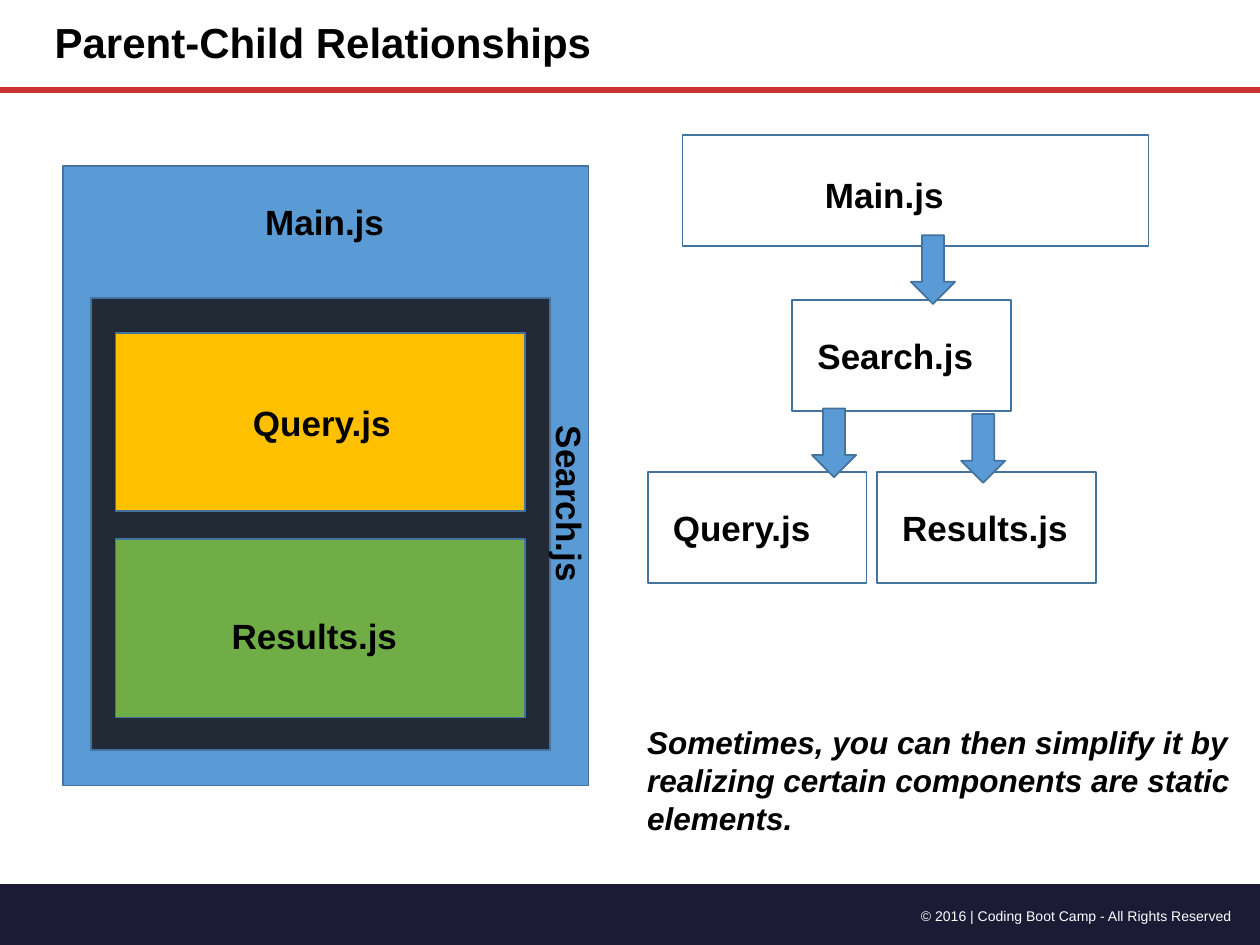
from dataclasses import dataclass

from lxml import etree
from pptx import Presentation
from pptx.dml.color import RGBColor
from pptx.enum.shapes import MSO_CONNECTOR, MSO_SHAPE
from pptx.enum.text import MSO_ANCHOR, MSO_AUTO_SIZE, PP_ALIGN
from pptx.oxml.ns import qn
from pptx.util import Pt

RECTANGLE, PROCESS = MSO_SHAPE.RECTANGLE, MSO_SHAPE.FLOWCHART_PROCESS
DOWN_ARROW = MSO_SHAPE.DOWN_ARROW
STRAIGHT = MSO_CONNECTOR.STRAIGHT
LEFT, RIGHT = PP_ALIGN.LEFT, PP_ALIGN.RIGHT
TOP, MIDDLE = MSO_ANCHOR.TOP, MSO_ANCHOR.MIDDLE
GROW, FIXED = MSO_AUTO_SIZE.SHAPE_TO_FIT_TEXT, MSO_AUTO_SIZE.NONE
TITLE_ONLY = 5


@dataclass(frozen=True)
class Theme:
    font: str = "Arial"
    ink: str = "000000"
    paper: str = "FFFFFF"
    navy: str = "1D1A36"
    red: str = "C83232"
    blue: str = "5B9BD5"
    outline: str = "43739E"
    slate: str = "222A35"
    amber: str = "FFC000"
    green: str = "70AD47"
    title_size: float = 24
    label_size: float = 20
    note_size: float = 18
    footer_size: float = 8


LABEL_HEIGHT = 31.5
LABEL_WIDTHS = {"Main.js": 83, "Search.js": 104.5, "Query.js": 93.5, "Results.js": 110}


class SlideBuilder:
    def __init__(self, page, theme):
        self.page, self.theme = page, theme

    def fill_text(self, box, text, size, color=None, align=LEFT, bold=True, italic=False):
        para = box.text_frame.paragraphs[0]
        para.alignment = align
        span = para.add_run()
        span.text = text
        formats = {"name": self.theme.font, "size": Pt(size), "bold": bold, "italic": italic}
        for name, value in formats.items():
            setattr(span.font, name, value)
        span.font.color.rgb = RGBColor.from_string(color or self.theme.ink)
        return para

    def title(self, text, left, top, width, height):
        box = self.page.shapes.title
        bounds = {"left": left, "top": top, "width": width, "height": height}
        for name, value in bounds.items():
            setattr(box, name, Pt(value))
        box.text_frame.vertical_anchor = MIDDLE
        box.text_frame.auto_size = FIXED
        self.fill_text(box, text, self.theme.title_size).line_spacing = 0.9

    def shape(self, kind, left, top, width, height, fill=None, line=None, shapes=None):
        shapes = shapes or self.page.shapes
        shape = shapes.add_shape(kind, Pt(left), Pt(top), Pt(width), Pt(height))
        shape.shadow.inherit = False
        if fill:
            shape.fill.solid()
            shape.fill.fore_color.rgb = RGBColor.from_string(fill)
        else:
            shape.fill.background()
        if line:
            shape.line.color.rgb = RGBColor.from_string(line)
            shape.line.width = Pt(1)
        else:
            shape.line.fill.background()

    def rule(self, start, end, color, width):
        line = self.page.shapes.add_connector(STRAIGHT, *map(Pt, start + end))
        line.line.color.rgb = RGBColor.from_string(color)
        line.line.width = Pt(width)
        etree.SubElement(line._element.spPr, qn("a:effectLst"))

    def text(self, text, left, top, width, height, size, wrap=True, shapes=None, **style):
        shapes = shapes or self.page.shapes
        box = shapes.add_textbox(Pt(left), Pt(top), Pt(width), Pt(height))
        frame = {"word_wrap": wrap, "auto_size": GROW, "vertical_anchor": TOP}
        for name, value in frame.items():
            setattr(box.text_frame, name, value)
        self.fill_text(box, text, size, **style)
        return box

    def label(self, text, left, top, shapes=None):
        return self.text(text, left, top, LABEL_WIDTHS[text], LABEL_HEIGHT,
                         self.theme.label_size, wrap=False, shapes=shapes)

    def node(self, text, left, top, width=125, indent=7.2, drop=16.2):
        """Group an outlined box with its label, set in by indent and drop."""
        shapes = self.page.shapes.add_group_shape().shapes
        self.shape(RECTANGLE, left, top, width, 63.4, line=self.theme.outline, shapes=shapes)
        self.label(text, left + indent, top + drop, shapes)


def main():
    deck = Presentation()
    deck.slide_width, deck.slide_height = Pt(720), Pt(540)
    theme = Theme()
    page = deck.slides.add_slide(deck.slide_layouts[TITLE_ONLY])
    builder = SlideBuilder(page, theme)

    builder.shape(PROCESS, 0, 505.2, 720.5, 36, theme.navy)
    builder.text("© 2016 | Coding Boot Camp - All Rights Reserved", 491.5, 514.8, 219.6, 17,
                 theme.footer_size, color=theme.paper, align=RIGHT, bold=False)
    builder.rule((0, 51.5), (720, 51.5), theme.red, 3.25)
    builder.title("Parent-Child Relationships", 24, 0, 430.5, 51.5)

    nested_boxes = [
        (36, 95, 300.3, 354, theme.blue),
        (52, 170.5, 262.3, 258.3, theme.slate),
        (66, 190.2, 234, 102, theme.amber),
        (66, 308, 234, 102, theme.green),
    ]
    for *bounds, fill in nested_boxes:
        builder.shape(RECTANGLE, *bounds, fill, theme.outline)
    builder.label("Search.js", 273.4, 272.8).rotation = 90
    for text, left, top in [("Query.js", 137.5, 225.6), ("Results.js", 125.2, 347.4),
                            ("Main.js", 144.5, 111.3)]:
        builder.label(text, left, top)

    builder.node("Main.js", 390, 77, width=266.4, indent=74.3, drop=18.7)
    builder.node("Search.js", 452.8, 171.4)
    builder.node("Query.js", 370.2, 269.9)
    builder.node("Results.js", 501.2, 269.8)
    for left, top in [(520.5, 134.4), (549.2, 236.6), (464, 233.4)]:
        builder.shape(DOWN_ARROW, left, top, 25.2, 39.3, theme.blue, theme.outline)

    builder.text("Sometimes, you can then simplify it by realizing certain components "
                 "are static elements.", 362.7, 409.7, 360, 72.7, theme.note_size, italic=True)
    deck.save("out.pptx")


if __name__ == "__main__":
    main()
